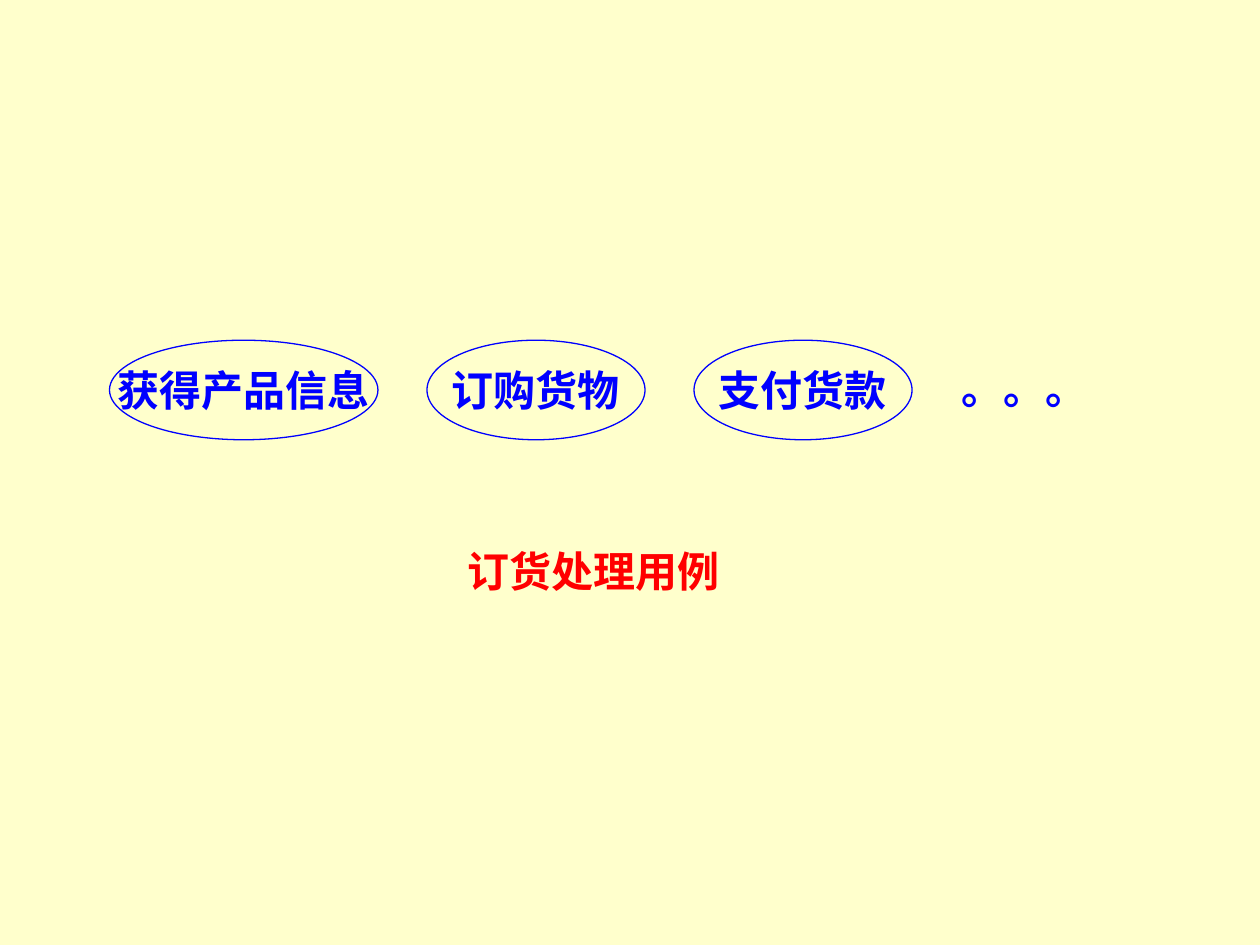
from pptx import Presentation
from pptx.dml.color import RGBColor
from pptx.enum import shapes, text
from pptx.util import Pt

COLORS = {"cream": "FFFFCC", "blue": "0000FF", "red": "FF0000"}
FONT = "Times New Roman"
CASES = [("获得产品信息", 153.4), ("订购货物", 124.6), ("支付货款", 124.6)]
MORE = ("。。。", 542.2, 203.8, 123.8, "blue", True)
CAPTION = ("订货处理用例", 259.9, 308.2, 158.4, "red", False)
LEFT, TOP, HIGH, GAP = 62.6, 194.4, 56.9, 28
BOX_HIGH = 36


def color(name):
    return RGBColor.from_string(COLORS[name])


def write(shape, words, ink, wrap, align, anchor):
    frame = shape.text_frame
    frame.word_wrap = wrap
    frame.vertical_anchor = anchor
    para = frame.paragraphs[0]
    para.alignment = align
    run = para.add_run()
    run.text = words
    font = run.font
    font.name, font.size, font.bold = FONT, Pt(24), True
    font.color.rgb = color(ink)


def outline(shape, ink):
    shape.line.color.rgb = color(ink)
    shape.line.width = Pt(0.75)


def add_case(slide, words, left, width):
    oval = slide.shapes.add_shape(
        shapes.MSO_SHAPE.OVAL, Pt(left), Pt(TOP), Pt(width), Pt(HIGH))
    oval.shadow.inherit = False
    oval.fill.solid()
    oval.fill.fore_color.rgb = color("cream")
    outline(oval, "blue")
    write(oval, words, "blue", False, text.PP_ALIGN.CENTER, text.MSO_ANCHOR.MIDDLE)


def add_label(slide, words, left, top, width, ink, wrap):
    box = slide.shapes.add_textbox(Pt(left), Pt(top), Pt(width), Pt(BOX_HIGH))
    outline(box, "cream")
    write(box, words, ink, wrap, text.PP_ALIGN.LEFT, text.MSO_ANCHOR.TOP)
    box.text_frame.auto_size = text.MSO_AUTO_SIZE.SHAPE_TO_FIT_TEXT


def main():
    deck = Presentation()
    deck.slide_width, deck.slide_height = Pt(720), Pt(540)
    slide = deck.slides.add_slide(deck.slide_layouts[6])
    slide.background.fill.solid()
    slide.background.fill.fore_color.rgb = color("cream")
    left = LEFT
    for words, width in CASES:
        add_case(slide, words, left, width)
        left += width + GAP
    for label in (MORE, CAPTION):
        add_label(slide, *label)
    deck.save("out.pptx")


if __name__ == "__main__":
    main()
